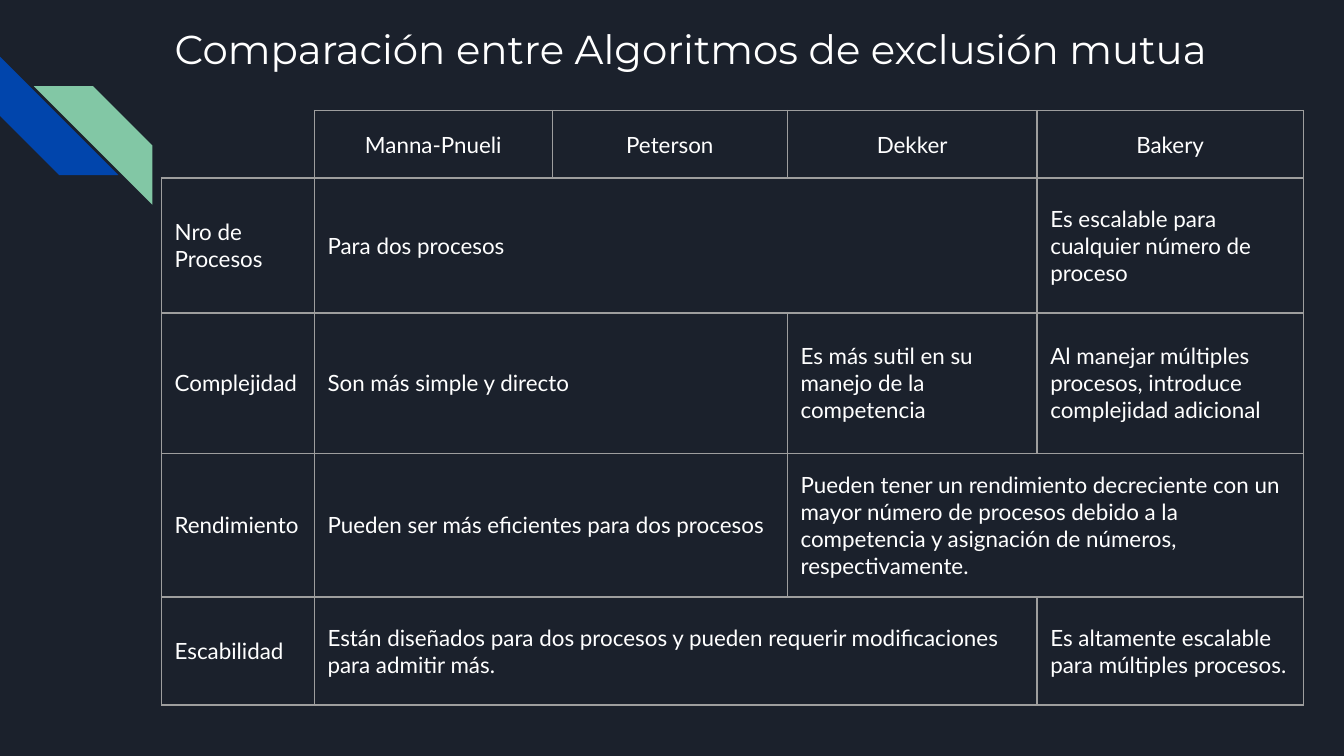
from lxml import etree
from pptx import Presentation
from pptx import util as u
from pptx.dml.color import RGBColor
from pptx.enum import shapes, text
from pptx.oxml.ns import qn

BACKGROUND, WHITE, GRID = "1B212C", "FFFFFF", "9E9E9E"
BLUE, GREEN = "0145AC", "82C7A5"

COLUMN_WIDTHS = [2.89, 4.5, 4.44, 4.72, 5.03]
ROW_HEIGHTS = [1.27, 2.55, 2.65, 2.72, 2.04]
ROWS = [
    [("", 1), ("Manna-Pnueli", 1), ("Peterson", 1), ("Dekker", 1), ("Bakery", 1)],
    [("Nro de Procesos", 1), ("Para dos procesos", 3),
     ("Es escalable para cualquier número de proceso", 1)],
    [("Complejidad", 1), ("Son más simple y directo", 2),
     ("Es más sutil en su manejo de la competencia", 1),
     ("Al manejar múltiples procesos, introduce complejidad adicional", 1)],
    [("Rendimiento", 1), ("Pueden ser más eficientes para dos procesos", 2),
     ("Pueden tener un rendimiento decreciente con un mayor número de procesos "
      "debido a la competencia y asignación de números, respectivamente.", 2)],
    [("Escabilidad", 1),
     ("Están diseñados para dos procesos y pueden requerir modificaciones "
      "para admitir más.", 3),
     ("Es altamente escalable para múltiples procesos.", 1)],
]


def color(value):
    return RGBColor.from_string(value)


def apply(target, values):
    for name, value in values.items():
        setattr(target, name, value)


class SlideBuilder:
    title_font = {"name": "Montserrat", "size": u.Pt(21.6), "bold": False}
    cell_font = {"name": "Lato", "size": u.Pt(12), "bold": False}
    margins = {f"margin_{side}": u.Cm(0.25) for side in ("left", "top", "right", "bottom")}

    def __init__(self, presentation):
        self.slide = presentation.slides.add_slide(presentation.slide_layouts[5])
        fill = self.slide.background.fill
        fill.solid()
        fill.fore_color.rgb = color(BACKGROUND)

    def add_text(self, paragraph, content, font, alignment):
        paragraph.alignment = alignment
        run = paragraph.add_run()
        run.text = content
        apply(run.font, font)
        run.font.color.rgb = color(WHITE)

    def title(self, content, left, top, width, height):
        shape = self.slide.shapes.title
        apply(shape, {"left": u.Cm(left), "top": u.Cm(top),
                      "width": u.Cm(width), "height": u.Cm(height)})
        frame = shape.text_frame
        apply(frame, {**self.margins, "word_wrap": True,
                      "auto_size": text.MSO_AUTO_SIZE.NONE,
                      "vertical_anchor": text.MSO_ANCHOR.TOP})
        self.add_text(frame.paragraphs[0], content, self.title_font, text.PP_ALIGN.LEFT)

    def stripe(self, left, top, size, fill, rotation=0, flipped=False):
        shape = self.slide.shapes.add_shape(
            shapes.MSO_SHAPE.DIAGONAL_STRIPE,
            u.Cm(left), u.Cm(top), u.Cm(size), u.Cm(size))
        shape.adjustments[0] = 0.5
        shape.rotation = rotation
        shape.shadow.inherit = False
        shape.fill.solid()
        shape.fill.fore_color.rgb = color(fill)
        shape.line.fill.background()
        if flipped:
            shape._element.spPr.find(qn("a:xfrm")).set("flipH", "1")

    def borders(self, cell, visible):
        properties = cell._tc.get_or_add_tcPr()
        for side in "LRTB":
            line = etree.SubElement(properties, qn(f"a:ln{side}"), w=str(u.Pt(0.75)))
            if side in visible:
                fill = etree.SubElement(line, qn("a:solidFill"))
                etree.SubElement(fill, qn("a:srgbClr"), val=GRID)
            else:
                etree.SubElement(line, qn("a:noFill"))

    def table(self, rows, left, top, widths, heights):
        table = self.slide.shapes.add_table(
            len(heights), len(widths), u.Cm(left), u.Cm(top),
            u.Cm(sum(widths)), u.Cm(sum(heights))).table
        apply(table, {"first_row": False, "horz_banding": False})
        for column, width in zip(table.columns, widths):
            column.width = u.Cm(width)
        for row, height in zip(table.rows, heights):
            row.height = u.Cm(height)
        for row_index, row in enumerate(rows):
            alignment = text.PP_ALIGN.LEFT if row_index else text.PP_ALIGN.CENTER
            column_index = 0
            for content, span in row:
                cell = table.cell(row_index, column_index)
                if span > 1:
                    cell.merge(table.cell(row_index, column_index + span - 1))
                apply(cell, {**self.margins, "vertical_anchor": text.MSO_ANCHOR.MIDDLE})
                self.borders(cell, "LRTB" if content else "RB")
                if content:
                    self.add_text(cell.text_frame.paragraphs[0], content,
                                  self.cell_font, alignment)
                column_index += span
        for cell in table.iter_cells():
            cell.fill.background()


def main():
    presentation = Presentation()
    apply(presentation, {"slide_width": u.Cm(25.4), "slide_height": u.Cm(14.29)})
    builder = SlideBuilder(presentation)
    builder.stripe(0, 1.07, 2.24, BLUE, rotation=270)
    builder.stripe(0.64, 1.63, 2.24, GREEN, flipped=True)
    builder.title("Comparación entre Algoritmos de exclusión mutua", 3.05, 0.2, 21.8, 1.6)
    builder.table(ROWS, 3.05, 2.09, COLUMN_WIDTHS, ROW_HEIGHTS)
    presentation.save("out.pptx")


if __name__ == "__main__":
    main()
